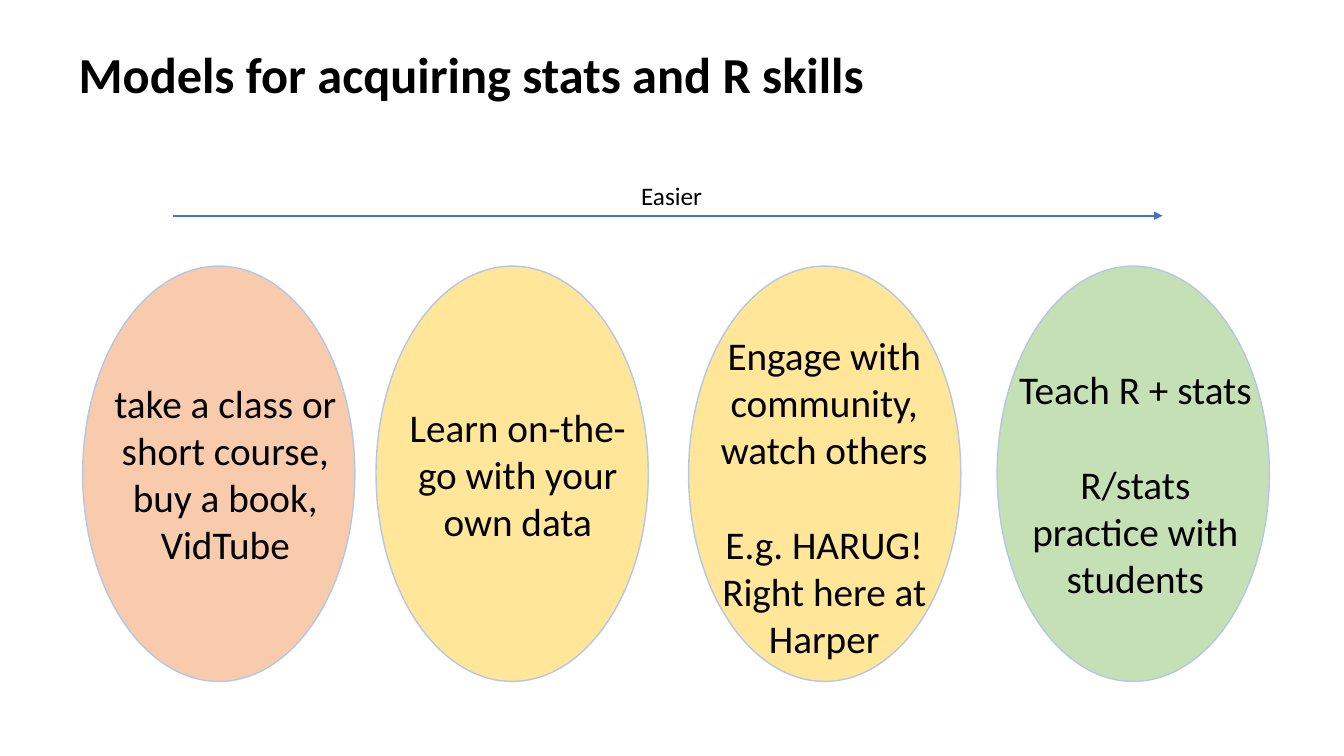
from dataclasses import dataclass

from lxml import etree
from pptx import Presentation
from pptx.dml.color import RGBColor
from pptx.enum.shapes import MSO_CONNECTOR, MSO_SHAPE
from pptx.enum.text import MSO_ANCHOR, MSO_AUTO_SIZE, PP_ALIGN
from pptx.oxml.ns import qn
from pptx.util import Inches, Pt


@dataclass(frozen=True)
class Theme:
    font: str = "Calibri"
    text: str = "000000"
    outline: str = "B4C7E7"
    arrow: str = "4472C4"
    peach: str = "F8CBAD"
    yellow: str = "FFE699"
    green: str = "C5E0B4"
    title_size: int = 36
    body_size: int = 28
    label_size: int = 18
    section_gap: int = 34


THEME = Theme()
OVAL_TOP, OVAL_WIDTH, OVAL_HEIGHT = 2.64, 2.7, 4.12

MODELS = [
    (0.82, THEME.peach, (0.92, 3.71, 2.63, 1.99), 0,
     ["take a class or short course, buy a book,", "VidTube"]),
    (3.73, THEME.yellow, (3.82, 3.95, 2.63, 1.51), 0,
     ["Learn on-the-go with your own data"]),
    (6.83, THEME.yellow, (6.86, 3.24, 2.63, 3.4), THEME.section_gap,
     ["Engage with community, watch others", "E.g. HARUG! Right here at Harper"]),
    (9.89, THEME.green, (10, 3.58, 2.52, 2.46), THEME.section_gap,
     ["Teach R + stats", "R/stats practice with students"]),
]


def write_text(tf, paragraphs, *, size, bold=False, align=PP_ALIGN.LEFT, gap=0, wrap=True):
    tf.word_wrap = wrap
    tf.auto_size = MSO_AUTO_SIZE.NONE
    tf.vertical_anchor = MSO_ANCHOR.TOP
    for i, text in enumerate(paragraphs):
        p = tf.paragraphs[0] if i == 0 else tf.add_paragraph()
        p.alignment = align
        p.space_before = Pt(gap if i else 0)
        r = p.add_run()
        r.text = text
        r.font.name = THEME.font
        r.font.size = Pt(size)
        r.font.bold = bold
        r.font.color.rgb = RGBColor.from_string(THEME.text)


def place_title(s, text, box):
    title = s.shapes.title
    title.left, title.top, title.width, title.height = map(Inches, box)
    write_text(title.text_frame, [text], size=THEME.title_size, bold=True, wrap=False)


def add_text(s, paragraphs, box, **text_format):
    tb = s.shapes.add_textbox(*map(Inches, box))
    write_text(tb.text_frame, paragraphs, **text_format)


def add_oval(s, left, fill):
    box = (left, OVAL_TOP, OVAL_WIDTH, OVAL_HEIGHT)
    sp = s.shapes.add_shape(MSO_SHAPE.OVAL, *map(Inches, box))
    sp.shadow.inherit = False
    sp.fill.solid()
    sp.fill.fore_color.rgb = RGBColor.from_string(fill)
    sp.line.color.rgb = RGBColor.from_string(THEME.outline)
    sp.line.width = Pt(1)


def add_arrow(s, x1, x2, y):
    cxn = s.shapes.add_connector(MSO_CONNECTOR.STRAIGHT, Inches(x1), Inches(y), Inches(x2), Inches(y))
    cxn.line.color.rgb = RGBColor.from_string(THEME.arrow)
    cxn.line.width = Pt(1.25)
    etree.SubElement(cxn.line._get_or_add_ln(), qn("a:tailEnd"), type="triangle")
    etree.SubElement(cxn._element.spPr, qn("a:effectLst"))


def main():
    prs = Presentation()
    prs.slide_width, prs.slide_height = Inches(13.33), Inches(7.5)
    s = prs.slides.add_slide(prs.slide_layouts[5])
    place_title(s, "Models for acquiring stats and R skills", (0.68, 0.38, 8.31, 0.71))
    for left, fill, text_box, gap, paragraphs in MODELS:
        add_oval(s, left, fill)
        add_text(s, paragraphs, text_box, size=THEME.body_size, align=PP_ALIGN.CENTER, gap=gap)
    add_arrow(s, 1.72, 11.53, 2.14)
    add_text(s, ["Easier"], (6.26, 1.74, 0.81, 0.4), size=THEME.label_size, wrap=False)
    prs.save("out.pptx")


if __name__ == "__main__":
    main()
